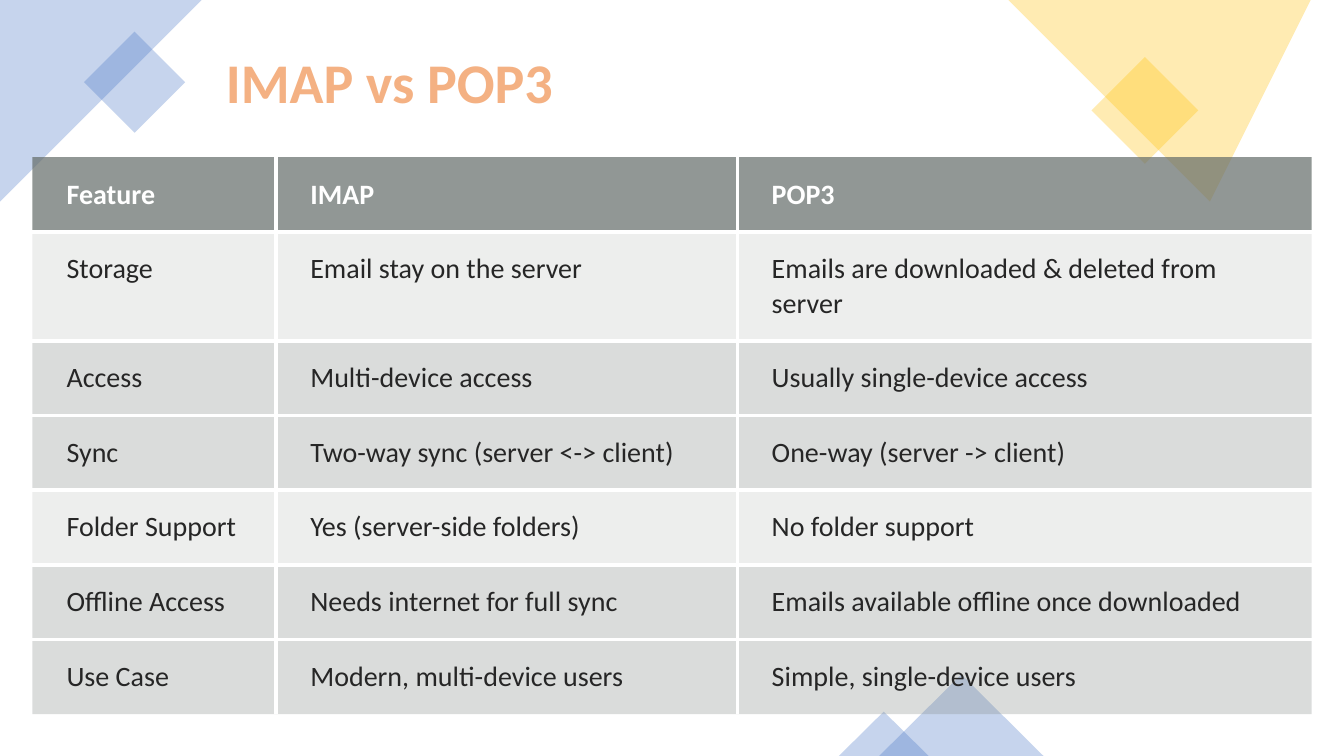
from lxml.etree import SubElement
from pptx import Presentation
from pptx.dml.color import RGBColor
from pptx.enum.shapes import MSO_SHAPE as Preset
from pptx.enum.text import MSO_ANCHOR as Anchor, PP_ALIGN as Align
from pptx.oxml.ns import qn
from pptx.util import Inches, Pt

BLUE, YELLOW, WHITE = "4472C4", "FFC000", "FFFFFF"
HEADER, BODY, INK, PEACH = "636B68", "878E8B", "262626", "F4B183"
FONT = "Calibri"
COLUMN_SHARES = [2.42, 4.58, 5.7]
ROW_SHARES = [0.74, 1.08, 0.74, 0.74, 0.74, 0.74, 0.74]
ROW_OPACITIES = [70, 15, 30, 30, 15, 30, 30]
ROWS = [
    ("Feature", "IMAP", "POP3"),
    ("Storage", "Email stay on the server", "Emails are downloaded & deleted from server"),
    ("Access", "Multi-device access", "Usually single-device access"),
    ("Sync", "Two-way sync (server <-> client)", "One-way (server -> client)"),
    ("Folder Support", "Yes (server-side folders)", "No folder support"),
    ("Offline Access", "Needs internet for full sync", "Emails available offline once downloaded"),
    ("Use Case", "Modern, multi-device users", "Simple, single-device users"),
]


def color(value):
    return RGBColor.from_string(value)


def paint(fill, holder, value, opacity):
    fill.solid()
    fill.fore_color.rgb = color(value)
    tint = holder.find(qn("a:solidFill")).find(qn("a:srgbClr"))
    SubElement(tint, qn("a:alpha"), val=str(opacity * 1000))


def write(para, text, size, value, bold):
    span = para.add_run()
    span.text = text
    span.font.name = FONT
    span.font.size = Pt(size)
    span.font.bold = bold
    span.font.color.rgb = color(value)


def finish_accent(shape, value):
    shape.shadow.inherit = False
    shape.line.fill.background()
    paint(shape.fill, shape._element.spPr, value, 30)


def add_outline(page, points, value):
    start, *rest = points
    builder = page.shapes.build_freeform(*start, scale=Inches(1))
    builder.add_line_segments(rest, close=True)
    finish_accent(builder.convert_to_shape(), value)


def add_accent(page, preset, box, value, rotation=0):
    shape = page.shapes.add_shape(preset, *map(Inches, box))
    shape.rotation = rotation
    finish_accent(shape, value)


def add_decoration(page, width, height):
    add_outline(page, [(0, 0), (1.53, 0), (1.83, 0.3), (0.41, 1.71), (0, 1.3)], BLUE)
    add_accent(page, Preset.RECTANGLE, (0.98, 0.46, 0.71, 0.71), BLUE, 315)
    add_accent(page, Preset.RECTANGLE, (10.98, 0.72, 0.75, 0.75), YELLOW, 315)
    add_outline(page, [(width, 0), (10.23, 0), (11.93, 1.62), (width, 0.28)], YELLOW)
    for left, base, rise in ((8.72, 1.63, 0.81), (8.32, 0.89, 0.44)):
        add_accent(page, Preset.ISOSCELES_TRIANGLE, (left, height - rise, base, rise), BLUE)


def add_title(page, box):
    title = page.shapes.title
    title.left, title.top, title.width, title.height = map(Inches, box)
    title.text_frame.vertical_anchor = Anchor.TOP
    para = title.text_frame.paragraphs[0]
    para.alignment = Align.LEFT
    write(para, "IMAP vs POP3", 40, PEACH, True)


def add_border(properties, side, visible):
    line = SubElement(properties, qn(f"a:ln{side}"), w=str(Pt(3)))
    if visible:
        SubElement(SubElement(line, qn("a:solidFill")), qn("a:srgbClr"), val=WHITE)
    else:
        SubElement(line, qn("a:noFill"))


def add_comparison(page, box):
    frame = page.shapes.add_table(len(ROWS), len(COLUMN_SHARES), *map(Inches, box))
    table = frame.table
    table.first_row = table.horz_banding = False
    for column, share in zip(table.columns, COLUMN_SHARES):
        column.width = Inches(box[2] * share / sum(COLUMN_SHARES))
    for row, share in zip(table.rows, ROW_SHARES):
        row.height = Inches(box[3] * share / sum(ROW_SHARES))
    last_row, last_column = len(ROWS) - 1, len(COLUMN_SHARES) - 1
    for r, texts in enumerate(ROWS):
        heading = r == 0
        for c, text in enumerate(texts):
            cell = table.cell(r, c)
            cell.margin_left = Inches(0.34)
            cell.margin_top = cell.margin_right = cell.margin_bottom = Inches(0.2)
            cell.vertical_anchor = Anchor.TOP
            write(cell.text_frame.paragraphs[0], text, 20, WHITE if heading else INK, heading)
            properties = cell._tc.get_or_add_tcPr()
            inner = {"L": c > 0, "R": c < last_column, "T": r > 0, "B": r < last_row}
            for side, visible in inner.items():
                add_border(properties, side, visible)
            paint(cell.fill, properties, HEADER if heading else BODY, ROW_OPACITIES[r])


def main():
    width, height = 13.33, 7.5
    deck = Presentation()
    deck.slide_width, deck.slide_height = Inches(width), Inches(height)
    page = deck.slides.add_slide(deck.slide_layouts[5])
    add_decoration(page, width, height)
    add_title(page, (2.14, 0.42, 4.53, 0.77))
    add_comparison(page, (0.32, 1.56, 12.69, 5.5))
    deck.save("out.pptx")


if __name__ == "__main__":
    main()
